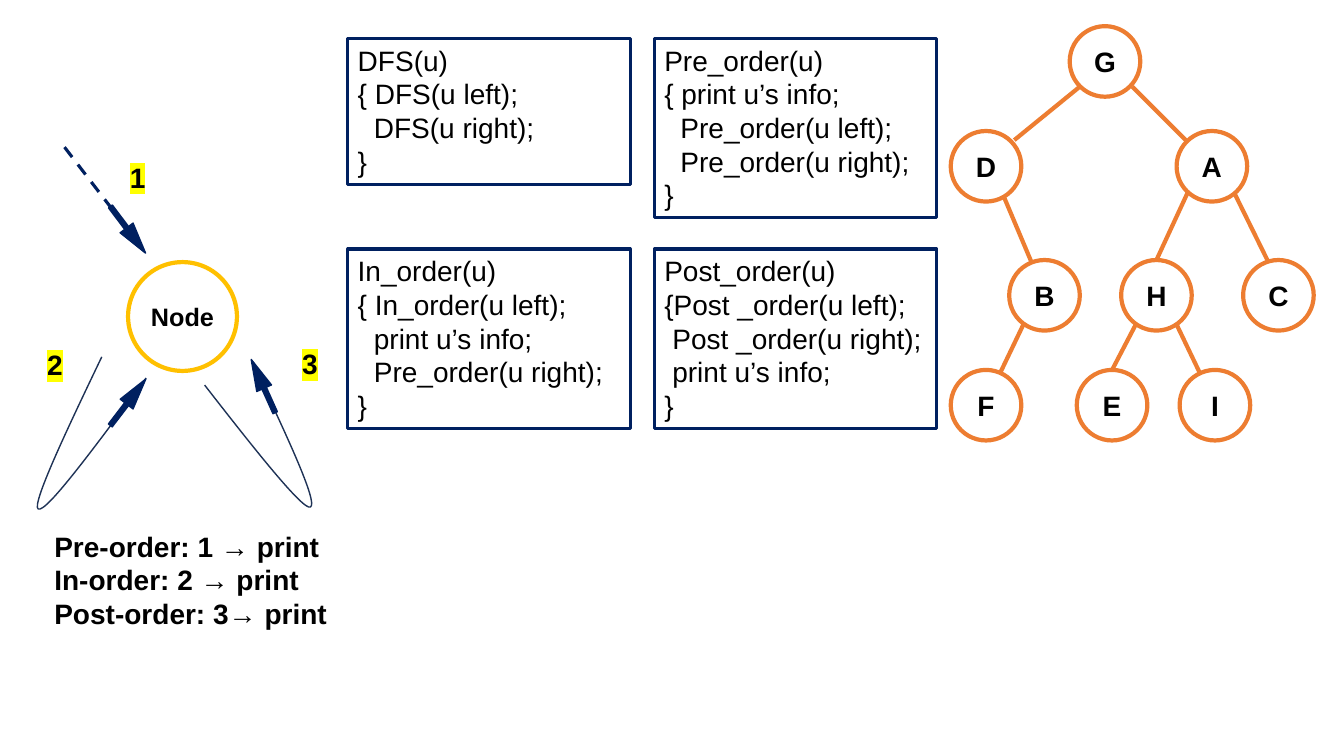
from lxml.etree import SubElement
from pptx import Presentation
from pptx.dml.color import RGBColor
from pptx.enum.dml import MSO_LINE
from pptx.enum.shapes import MSO_CONNECTOR, MSO_SHAPE
from pptx.enum.text import MSO_ANCHOR, MSO_AUTO_SIZE, PP_ALIGN
from pptx.oxml.ns import qn
from pptx.util import Pt

PX = 9144
SPACE_WIDTH = 8
NAVY, INK, ORANGE, GOLD = "002060", "1E3256", "ED7D31", "FFC000"
WHITE, BLACK, YELLOW = "FFFFFF", "000000", "FFFF00"


def rgb(value):
    return RGBColor.from_string(value)


def px(*lengths):
    return [length * PX for length in lengths]


class TraversalSlide:
    """Draws traversal diagrams on one slide in a shared style."""

    font_name = "Arial"

    def __init__(self, presentation):
        self.slide = presentation.slides.add_slide(presentation.slide_layouts[6])
        self.shapes = self.slide.shapes

    def outline(self, shape, color, width, fill=None):
        shape.shadow.inherit = False
        shape.line.color.rgb = rgb(color)
        shape.line.width = Pt(width)
        if fill:
            shape.fill.solid()
            shape.fill.fore_color.rgb = rgb(fill)
        else:
            shape.fill.background()

    def set_lines(self, frame, lines, size=20, bold=True, align=PP_ALIGN.CENTER, highlight=None):
        frame.word_wrap = True
        for index, line in enumerate(lines):
            paragraph = frame.paragraphs[0] if index == 0 else frame.add_paragraph()
            paragraph.alignment = align
            font = paragraph.font
            font.name, font.size, font.bold = self.font_name, Pt(size), bold
            font.color.rgb = rgb(BLACK)
            words = line.lstrip()
            run = paragraph.add_run()
            run.text = words
            indent = len(line) - len(words)
            if indent:
                properties = paragraph._p.get_or_add_pPr()
                properties.set("marL", str(indent * SPACE_WIDTH * PX))
                properties.set("indent", "0")
            if highlight:
                marker = SubElement(run._r.get_or_add_rPr(), qn("a:highlight"))
                SubElement(marker, qn("a:srgbClr")).set("val", highlight)

    def circle(self, left, top, diameter, label, color, size=20, fill=None):
        node = self.shapes.add_shape(MSO_SHAPE.OVAL, *px(left, top, diameter, diameter))
        self.outline(node, color, 3, fill)
        frame = node.text_frame
        frame.margin_left = frame.margin_right = frame.margin_top = frame.margin_bottom = 0
        frame.vertical_anchor = MSO_ANCHOR.MIDDLE
        self.set_lines(frame, [label], size)

    def line(self, start, end, color, width, dashed_arrow=False):
        edge = self.shapes.add_connector(MSO_CONNECTOR.STRAIGHT, *px(*start, *end))
        edge.line.color.rgb = rgb(color)
        edge.line.width = Pt(width)
        if dashed_arrow:
            edge.line.dash_style = MSO_LINE.DASH
            SubElement(edge.line._get_or_add_ln(), qn("a:tailEnd")).set("type", "triangle")
        SubElement(edge._element.spPr, qn("a:effectLst"))

    def curve(self, start, *controls):
        builder = self.shapes.build_freeform(*start, scale=PX)
        builder.add_line_segments(controls, close=False)
        loop = builder.convert_to_shape()
        self.outline(loop, INK, 1)
        segments = loop._element.xpath(".//a:lnTo")
        for first in range(0, len(segments), 3):
            bezier, *others = segments[first:first + 3]
            bezier.tag = qn("a:cubicBezTo")
            for other in others:
                bezier.append(other[0])
                other.getparent().remove(other)

    def arrow(self, left, top, rotation):
        pointer = self.shapes.add_shape(MSO_SHAPE.DOWN_ARROW, *px(left, top, 16, 58))
        pointer.adjustments[0], pointer.adjustments[1] = 0.3, 1.96
        pointer.rotation = rotation
        self.outline(pointer, NAVY, 1, NAVY)

    def text(self, left, top, width, height, lines, **style):
        box = self.shapes.add_textbox(*px(left, top, width, height))
        self.set_lines(box.text_frame, lines, **style)
        box.text_frame.auto_size = MSO_AUTO_SIZE.SHAPE_TO_FIT_TEXT

    def code(self, left, top, height, lines):
        listing = self.shapes.add_shape(MSO_SHAPE.RECTANGLE, *px(left, top, 280, height))
        self.outline(listing, NAVY, 2.25)
        listing.text_frame.vertical_anchor = MSO_ANCHOR.TOP
        self.set_lines(listing.text_frame, lines, bold=False, align=PP_ALIGN.LEFT)


def main():
    presentation = Presentation()
    presentation.slide_width, presentation.slide_height = px(1333, 750)
    page = TraversalSlide(presentation)

    page.circle(127, 260, 108, "Node", GOLD, size=18, fill=WHITE)
    page.line((64, 146), (137, 241), NAVY, 2.25, dashed_arrow=True)
    page.curve((250, 359), (283, 429), (316, 499), (308, 503), (301, 507), (252, 445), (203, 382))
    page.curve((101, 354), (66, 427), (31, 501), (38, 505), (46, 509), (95, 442), (145, 375))
    for left, top, rotation in [(119, 370, 217.4), (253, 354, 155.8), (119, 199, 323.1)]:
        page.arrow(left, top, rotation)
    for visit, left, top in [("1", 113, 154), ("2", 31, 340), ("3", 284, 339)]:
        page.text(left, top, 47, 44, [visit], highlight=YELLOW)

    tree_levels = [
        (26, {"G": 1061}),
        (130, {"D": 943, "A": 1167}),
        (258, {"B": 1001, "H": 1112, "C": 1233}),
        (367, {"F": 943, "E": 1068, "I": 1170}),
    ]
    for top, nodes in tree_levels:
        for letter, left in nodes.items():
            page.circle(left, top, 70, letter, ORANGE)
    tree_edges = [
        ((1071, 86), (1006, 139)),
        ((1123, 86), (1177, 140)),
        ((1224, 191), (1258, 260)),
        ((1178, 191), (1147, 258)),
        ((996, 196), (1023, 260)),
        ((1015, 322), (992, 370)),
        ((1127, 321), (1103, 367)),
        ((1167, 322), (1190, 370)),
    ]
    for parent, child in tree_edges:
        page.line(parent, child, ORANGE, 3)

    print_rules = ["Pre-order: 1 → print", "In-order: 2 → print", "Post-order: 3→ print"]
    page.text(44, 520, 292, 111, print_rules, align=PP_ALIGN.LEFT)

    listings = [
        (345, 38, 145, ["DFS(u)", "{ DFS(u left);", "  DFS(u right);", "}"]),
        (649, 38, 178, ["Pre_order(u)", "{ print u’s info;", "  Pre_order(u left);",
                        "  Pre_order(u right);", "}"]),
        (345, 247, 178, ["In_order(u)", "{ In_order(u left);", "  print u’s info;",
                         "  Pre_order(u right);", "}"]),
        (649, 247, 178, ["Post_order(u)", "{Post _order(u left);", " Post _order(u right);",
                         " print u’s info;", "}"]),
    ]
    for left, top, height, lines in listings:
        page.code(left, top, height, lines)

    presentation.save("out.pptx")


if __name__ == "__main__":
    main()
